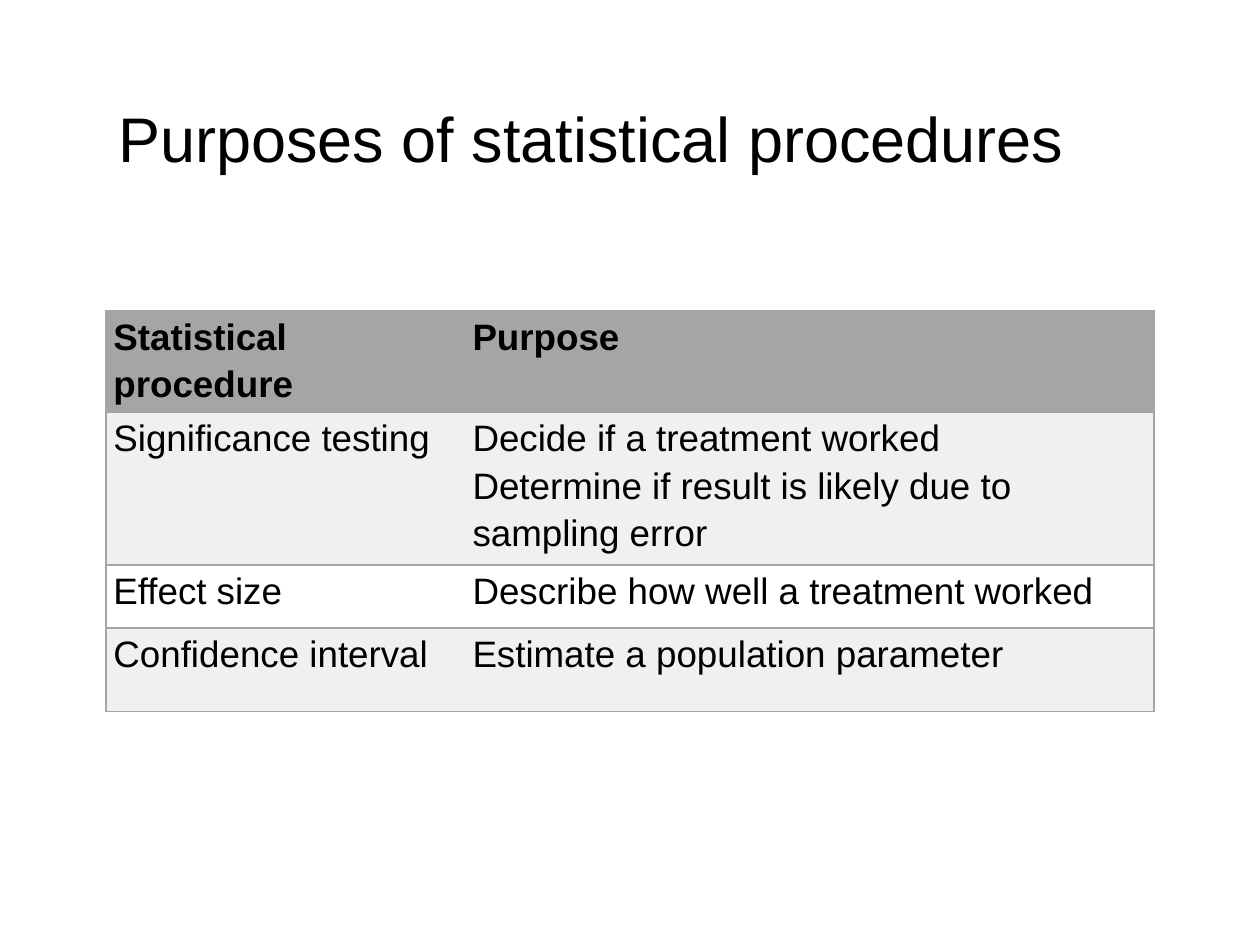
from lxml import etree
from pptx import Presentation
from pptx.dml.color import RGBColor
from pptx.enum.text import MSO_ANCHOR
from pptx.oxml.ns import qn
from pptx.util import Inches, Pt

MIDDLE = MSO_ANCHOR.MIDDLE
BLACK = RGBColor(0x00, 0x00, 0x00)
WHITE = RGBColor(0xFF, 0xFF, 0xFF)
GRAY = RGBColor(0xA5, 0xA5, 0xA5)
LIGHT_GRAY = RGBColor(0xF0, 0xF0, 0xF0)
FONT = "Arial"

COLUMN_WIDTHS = (2.85, 5.47)
ROW_HEIGHTS = (0.66, 1.21, 0.5, 0.66)
PROCEDURES = (
    ("Statistical procedure", "Purpose"),
    (
        "Significance testing",
        "Decide if a treatment worked\n"
        "Determine if result is likely due to sampling error",
    ),
    ("Effect size", "Describe how well a treatment worked"),
    ("Confidence interval", "Estimate a population parameter"),
)


def style_paragraphs(text_frame, size, line_spacing, bold=False):
    """Give every paragraph the same font and line spacing."""
    for paragraph in text_frame.paragraphs:
        paragraph.line_spacing = line_spacing
        paragraph.font.name = FONT
        paragraph.font.size = Pt(size)
        paragraph.font.bold = bold
        paragraph.font.color.rgb = BLACK


def set_borders(cell, visible_sides):
    """Draw gray lines on the visible sides and clear the others."""
    properties = cell._tc.get_or_add_tcPr()
    for side in "LRTB":
        line = etree.SubElement(properties, qn(f"a:ln{side}"), w=str(Pt(1)))
        if side in visible_sides:
            fill = etree.SubElement(line, qn("a:solidFill"))
            etree.SubElement(fill, qn("a:srgbClr"), val=str(GRAY))
        else:
            etree.SubElement(line, qn("a:noFill"))


def add_title(slide, left, top, width, height):
    """Add the slide title in the given box."""
    title = slide.shapes.add_textbox(left, top, width, height)
    text_frame = title.text_frame
    text_frame.word_wrap = True
    text_frame.vertical_anchor = MIDDLE
    text_frame.text = "Purposes of statistical procedures"
    style_paragraphs(text_frame, 36, 0.9)


def fill_cell(cell, text, row, column):
    """Write and style one table cell."""
    cell.margin_left = cell.margin_right = Inches(0.06)
    cell.margin_top = cell.margin_bottom = 0
    cell.text = text
    style_paragraphs(cell.text_frame, 21, 1.15, bold=row == 0)
    set_borders(cell, "LTB" if column == 0 else "RTB")
    cell.fill.solid()
    if row == 0:
        cell.fill.fore_color.rgb = GRAY
    else:
        cell.fill.fore_color.rgb = LIGHT_GRAY if row % 2 else WHITE


def add_procedure_table(slide, left, top, width, height):
    """Add the table of procedures and their purposes in the given box."""
    table = slide.shapes.add_table(
        len(ROW_HEIGHTS), len(COLUMN_WIDTHS), left, top, width, height
    ).table
    for column, column_width in zip(table.columns, COLUMN_WIDTHS):
        column.width = Inches(column_width)
    for row, row_height in zip(table.rows, ROW_HEIGHTS):
        row.height = Inches(row_height)
    for row_index, texts in enumerate(PROCEDURES):
        for column_index, text in enumerate(texts):
            cell = table.cell(row_index, column_index)
            fill_cell(cell, text, row_index, column_index)


def main():
    """Build and save the presentation."""
    presentation = Presentation()
    presentation.slide_width = Inches(10)
    presentation.slide_height = Inches(7.5)
    slide = presentation.slides.add_slide(presentation.slide_layouts[6])
    add_title(slide, Inches(0.84), Inches(0.4), Inches(8.62), Inches(1.45))
    add_procedure_table(
        slide,
        Inches(0.84),
        Inches(2.47),
        Inches(sum(COLUMN_WIDTHS)),
        Inches(sum(ROW_HEIGHTS)),
    )
    presentation.save("out.pptx")


if __name__ == "__main__":
    main()
